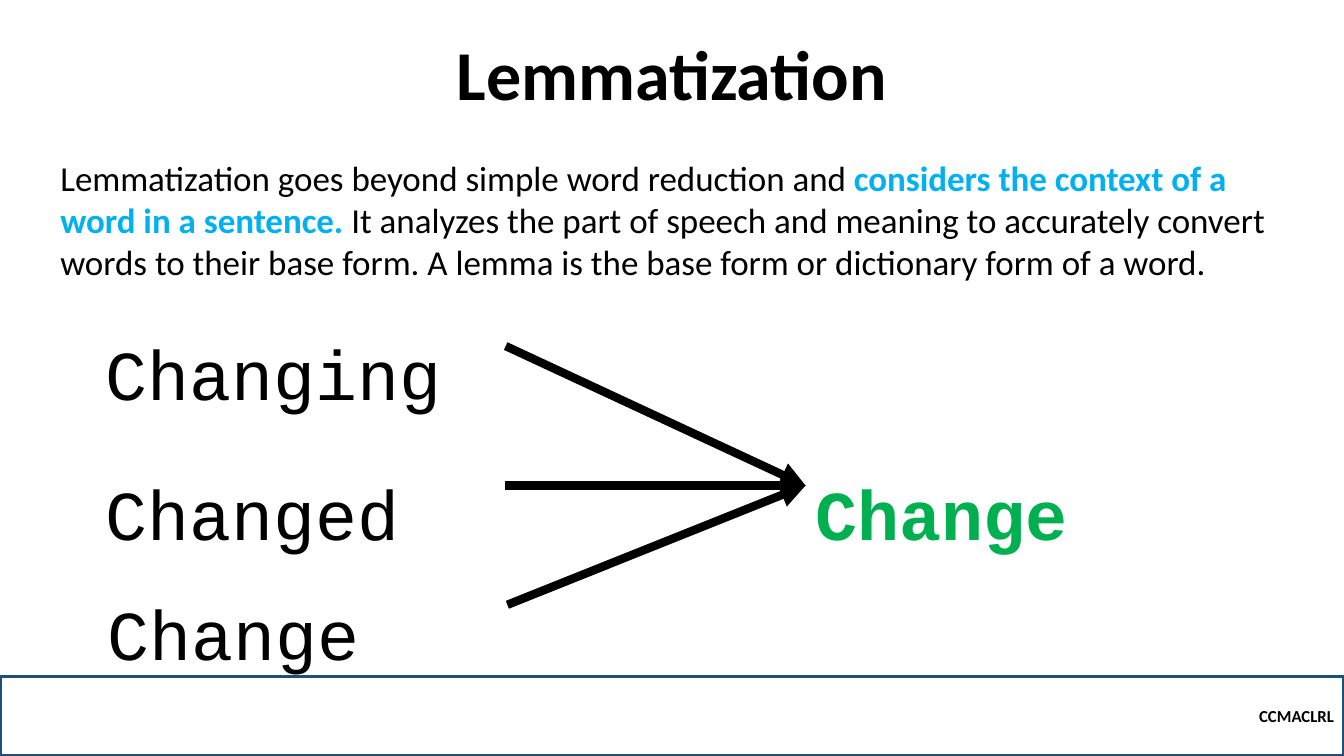
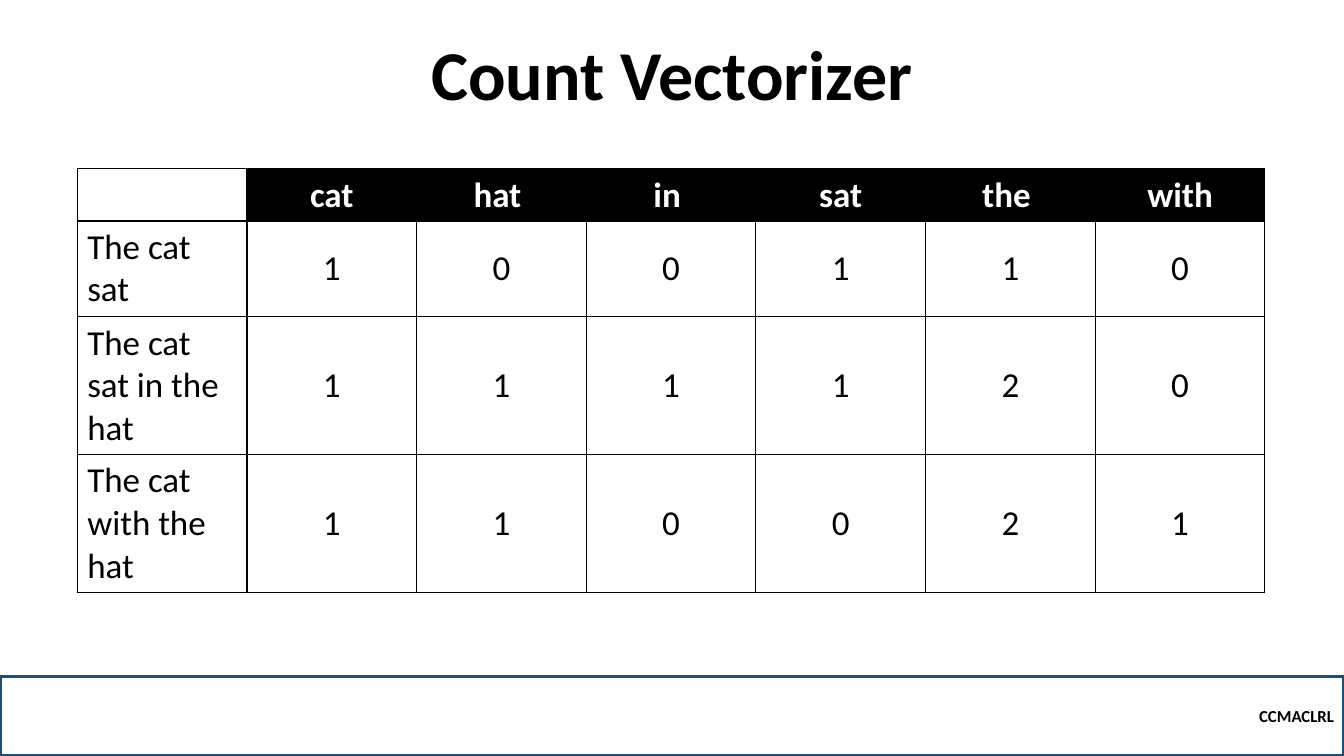
from dataclasses import dataclass

from lxml import etree
from pptx import Presentation
from pptx import util as u
from pptx.dml.color import RGBColor
from pptx.enum import shapes, text
from pptx.oxml import parse_xml
from pptx.oxml.ns import nsdecls, qn


@dataclass(frozen=True)
class Theme:
    ink: str = "000000"
    paper: str = "FFFFFF"
    band: str = "1F4E79"
    highlight: str = "00B0F0"
    lemma: str = "00B050"
    sans: str = "Calibri"
    mono: str = "Courier New"
    title: int = 50
    body: int = 25
    footer: int = 12


theme = Theme()

# The slide is a grid of 160 columns by 90 rows
COLUMNS, ROWS = 160, 90
UNIT = u.Inches(7.5) / ROWS
MARGIN = 6


def grid(*lengths):
    return [u.Emu(round(length * UNIT)) for length in lengths]


def write(frame, content, size=theme.body, font=theme.sans, color=theme.ink, bold=False,
          align=text.PP_ALIGN.LEFT, anchor=text.MSO_ANCHOR.TOP, spacing=1.0):
    """Fill a frame with one paragraph; content is text or (text, color, bold) runs."""
    frame.word_wrap = True
    frame.vertical_anchor = anchor
    paragraph = frame.paragraphs[0]
    paragraph.alignment = align
    paragraph.line_spacing = spacing
    runs = [(content, color, bold)] if isinstance(content, str) else content
    for run_text, run_color, run_bold in runs:
        run = paragraph.add_run()
        run.text = run_text
        run.font.name = font
        run.font.size = u.Pt(size)
        run.font.bold = run_bold
        run.font.color.rgb = RGBColor.from_string(run_color)


presentation = Presentation()
presentation.slide_width, presentation.slide_height = grid(COLUMNS, ROWS)

# Footer band and title on every slide
slides = []
for title in ("Lemmatization", "Count Vectorizer"):
    slide = presentation.slides.add_slide(presentation.slide_layouts[6])
    band = slide.shapes.add_shape(shapes.MSO_SHAPE.RECTANGLE, *grid(0, 80.5, COLUMNS, 9.5))
    band.shadow.inherit = False
    band.fill.background()
    band.line.color.rgb = RGBColor.from_string(theme.band)
    band.line.width = u.Pt(2.25)
    write(band.text_frame, "CCMACLRL", size=theme.footer, bold=True,
          align=text.PP_ALIGN.RIGHT, anchor=text.MSO_ANCHOR.MIDDLE)
    heading = slide.shapes.add_textbox(*grid(MARGIN, 4.9, COLUMNS - 2 * MARGIN, 9.5))
    write(heading.text_frame, title, size=theme.title, bold=True, spacing=0.9,
          align=text.PP_ALIGN.CENTER, anchor=text.MSO_ANCHOR.BOTTOM)
    slides.append(slide)
lemma_slide, count_slide = slides

# Lemmatization: definition
definition = lemma_slide.shapes.add_textbox(*grid(MARGIN, 18, COLUMNS - 2 * MARGIN, 16.3))
write(definition.text_frame, [
    ("Lemmatization goes beyond simple word reduction and ", theme.ink, False),
    ("considers the context of a word in a sentence.", theme.highlight, True),
    (" It analyzes the part of speech and meaning to accurately convert words to their "
     "base form. A lemma is the base form or dictionary form of a word.", theme.ink, False),
])

# Lemmatization: word forms on the left, their lemma on the right
LEMMA_LEFT, LEMMA_TOP = 95.9, 50.4
words = [
    ("Changing", 11.4, 33.7, 48.8, theme.ink, False),
    ("Changed", 11.4, LEMMA_TOP, 48.8, theme.ink, False),
    ("Change", 11.6, 64.7, 48.8, theme.ink, False),
    ("Change", LEMMA_LEFT, LEMMA_TOP, 39.7, theme.lemma, True),
]
for word, left, top, width, color, bold in words:
    box = lemma_slide.shapes.add_textbox(*grid(left, top, width, 14.8))
    write(box.text_frame, word, size=theme.title, font=theme.mono,
          color=color, bold=bold, spacing=1.5)

# Lemmatization: arrows meeting at the lemma
TARGET = (LEMMA_LEFT, 57.8)
for start in ((60.2, 41.2), (60.4, 72), (60.1, TARGET[1])):
    arrow = lemma_slide.shapes.add_connector(
        shapes.MSO_CONNECTOR.STRAIGHT, *grid(*start, *TARGET))
    arrow.line.color.rgb = RGBColor.from_string(theme.ink)
    arrow.line.width = u.Pt(6)
    etree.SubElement(arrow.line._get_or_add_ln(), qn("a:tailEnd"), type="triangle")
    etree.SubElement(arrow._element.spPr, qn("a:effectLst"))

# Count Vectorizer: word counts per sentence
counts = [
    ["", "cat", "hat ", "in ", "sat", "the ", "with"],
    ["The cat sat", "1", "0", "0", "1", "1", "0"],
    ["The cat sat in the hat", "1", "1", "1", "1", "2", "0"],
    ["The cat with the hat", "1", "1", "0", "0", "2", "1"],
]
COLUMN_WIDTH = 20.2
ROW_HEIGHTS = (6.2, 11.4, 16.4, 16.4)
table = count_slide.shapes.add_table(
    len(counts), len(counts[0]),
    *grid(9.2, 20.1, COLUMN_WIDTH * len(counts[0]), sum(ROW_HEIGHTS))).table
table.first_row = table.horz_banding = False
for column in table.columns:
    column.width = grid(COLUMN_WIDTH)[0]
for row, height in zip(table.rows, grid(*ROW_HEIGHTS)):
    row.height = height

for row_index, values in enumerate(counts):
    for column_index, value in enumerate(values):
        cell = table.cell(row_index, column_index)
        is_header = row_index == 0 and column_index > 0
        is_count = row_index > 0 and column_index > 0
        # Borders come before the fill in the cell properties
        properties = cell._tc.get_or_add_tcPr()
        for side in ("lnL", "lnR", "lnT", "lnB"):
            properties.append(parse_xml(
                f'<a:{side} {nsdecls("a")} w="{u.Pt(1)}"><a:solidFill>'
                f'<a:srgbClr val="{theme.ink}"/></a:solidFill></a:{side}>'))
        if is_header:
            cell.fill.solid()
            cell.fill.fore_color.rgb = RGBColor.from_string(theme.ink)
        else:
            cell.fill.background()
        if value:
            write(cell.text_frame, value, bold=is_header,
                  color=theme.paper if is_header else theme.ink,
                  align=text.PP_ALIGN.CENTER if column_index else text.PP_ALIGN.LEFT)
        cell.vertical_anchor = text.MSO_ANCHOR.MIDDLE if is_count else text.MSO_ANCHOR.TOP

presentation.save("out.pptx")
